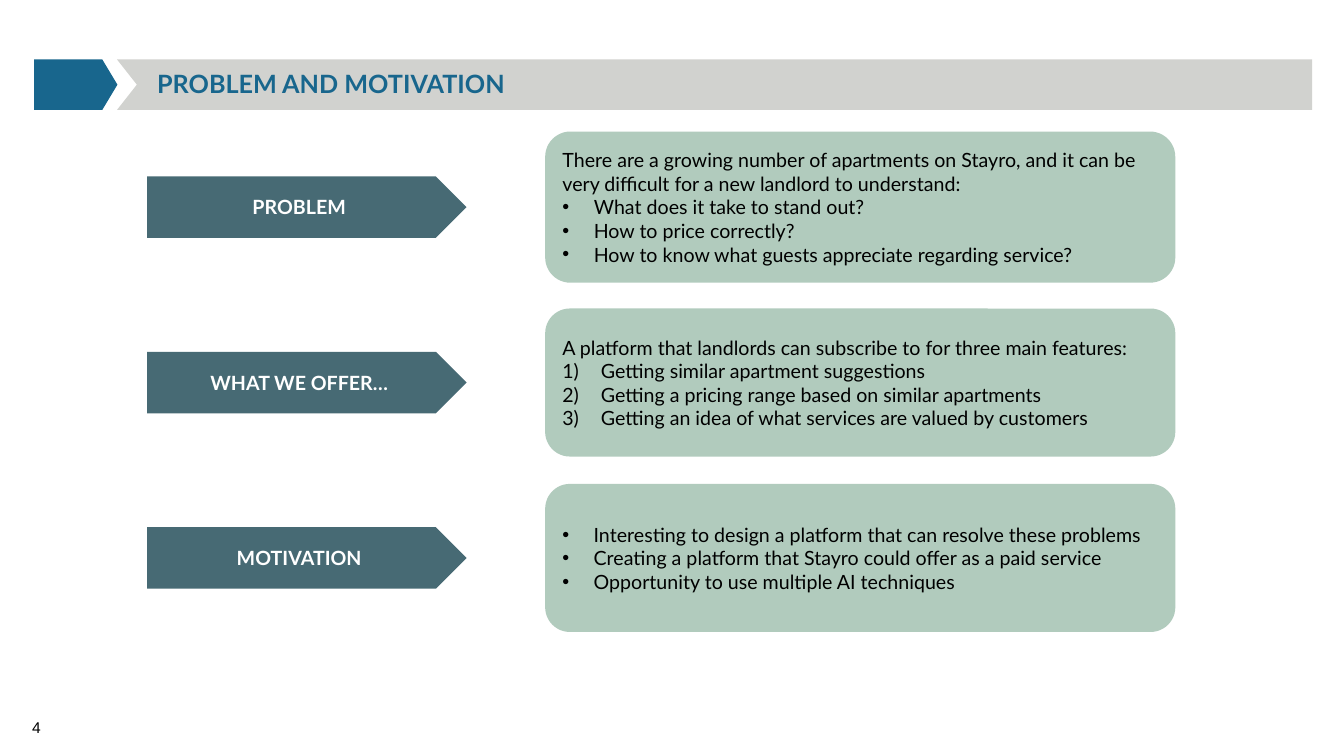
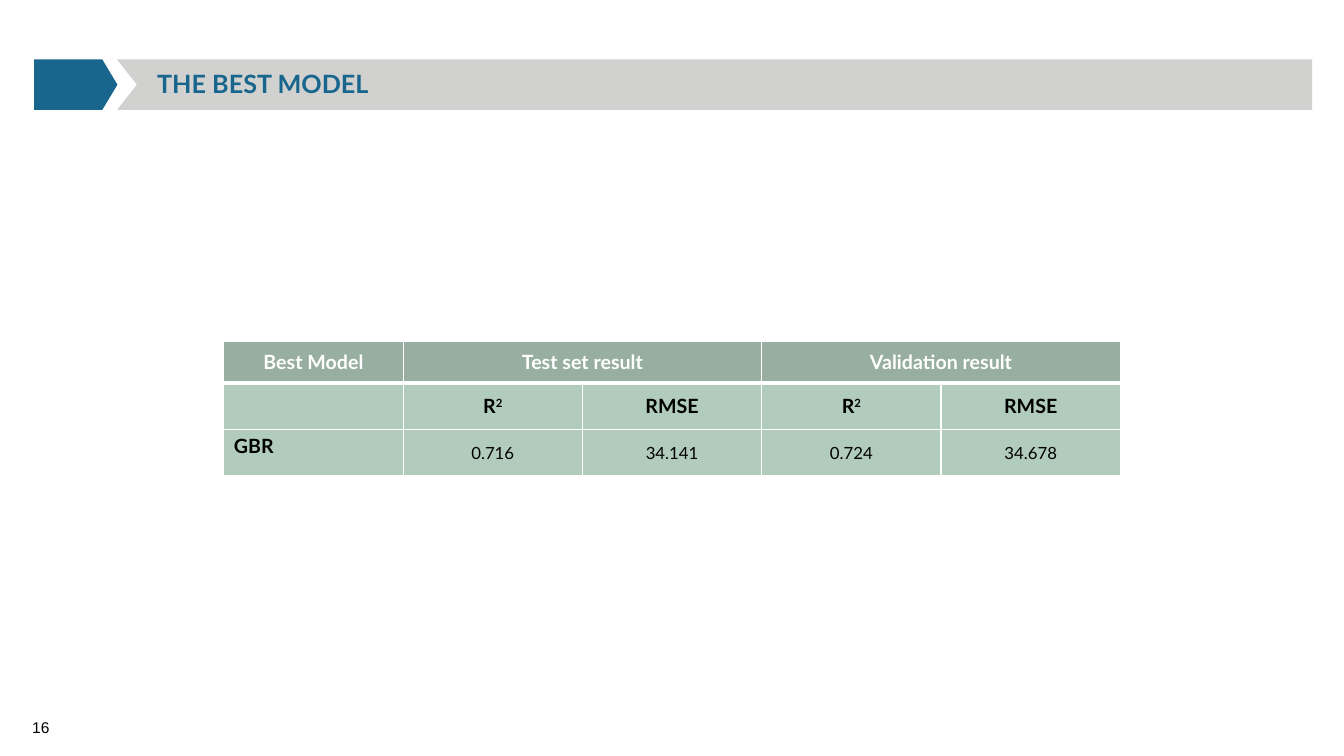
from dataclasses import dataclass

from lxml import etree
from pptx import Presentation
from pptx import util as u
from pptx.dml.color import RGBColor
from pptx.enum import shapes, text
from pptx.oxml import ns


@dataclass(frozen=True)
class Theme:
    blue: str = "18668D"
    band: str = "D1D2CF"
    label: str = "476A74"
    panel: str = "B1CBBD"
    header: str = "97AEA0"
    white: str = "FFFFFF"
    black: str = "000000"
    font: str = "Lato"
    number_font: str = "Arial"
    title_size: float = 18
    body_size: float = 14
    value_size: float = 12
    number_size: float = 11.1


THEME = Theme()
CENTER = text.PP_ALIGN.CENTER
MIDDLE = text.MSO_ANCHOR.MIDDLE

# Header band geometry, in cm
BAND_TOP, BAND_HEIGHT = 1.5, 1.27
BAND_LEFT, BAND_RIGHT, NOTCH = 2.95, 33.07, 0.5

# Bullet kinds: element, attributes, hanging indent in cm
BULLETS = {
    "dot": ("a:buChar", {"char": "•"}, 0.79),
    "number": ("a:buAutoNum", {"type": "arabicParenR"}, 0.97),
}

ROWS = [
    ("PROBLEM", 3.81, [
        ("There are a growing number of apartments on Stayro, and it can be", None),
        ("very difficult for a new landlord to understand:", None),
        ("What does it take to stand out?", "dot"),
        ("How to price correctly?", "dot"),
        ("How to know what guests appreciate regarding service?", "dot"),
    ]),
    ("WHAT WE OFFER…", 3.73, [
        ("A platform that landlords can subscribe to for three main features:", None),
        ("Getting similar apartment suggestions", "number"),
        ("Getting a pricing range based on similar apartments", "number"),
        ("Getting an idea of what services are valued by customers", "number"),
    ]),
    ("MOTIVATION", 3.73, [
        ("Interesting to design a platform that can resolve these problems", "dot"),
        ("Creating a platform that Stayro could offer as a paid service", "dot"),
        ("Opportunity to use multiple AI techniques", "dot"),
    ]),
]

HEADINGS = ["Best Model", "Test set result", "", "Validation result", ""]
MEASURES = ["", "R²", "RMSE", "R²", "RMSE"]
RESULTS = ["GBR", "0.716", "34.141", "0.724", "34.678"]


# Text
def add_run(para, words, size=THEME.body_size, color=THEME.black, bold=False,
            font=THEME.font):
    span = para.add_run()
    span.text = words
    span.font.size = u.Pt(size)
    span.font.name = font
    span.font.bold = bold
    span.font.color.rgb = RGBColor.from_string(color)
    return span


def add_bullet(para, kind):
    tag, attributes, indent = BULLETS[kind]
    properties = para._p.get_or_add_pPr()
    properties.set("marL", str(u.Cm(indent)))
    properties.set("indent", str(-u.Cm(indent)))
    if kind == "dot":
        etree.SubElement(properties, ns.qn("a:buFont")).set("typeface", THEME.number_font)
    etree.SubElement(properties, ns.qn(tag), attributes)


def add_text_box(page, left, top, width, height, anchor, wrap):
    frame = page.shapes.add_textbox(
        u.Cm(left), u.Cm(top), u.Cm(width), u.Cm(height)).text_frame
    frame.word_wrap = wrap
    frame.vertical_anchor = anchor
    return frame


# Shapes
def paint(shape, color):
    shape.shadow.inherit = False
    shape.fill.solid()
    shape.fill.fore_color.rgb = RGBColor.from_string(color)
    shape.line.fill.background()


def add_block(page, kind, left, top, width, height, color):
    block = page.shapes.add_shape(
        kind, u.Cm(left), u.Cm(top), u.Cm(width), u.Cm(height))
    paint(block, color)
    block.text_frame.vertical_anchor = MIDDLE
    block.text_frame.word_wrap = True
    return block


def add_label(page, words, middle):
    height = 1.55
    label = add_block(page, shapes.MSO_SHAPE.PENTAGON, 3.71, middle - height / 2,
                      8.05, height, THEME.label)
    para = label.text_frame.paragraphs[0]
    para.alignment = CENTER
    add_run(para, words, color=THEME.white, bold=True)


def add_panel(page, lines, middle, height):
    panel = add_block(page, shapes.MSO_SHAPE.ROUNDED_RECTANGLE, 13.74,
                      middle - height / 2, 15.88, height, THEME.panel)
    frame = panel.text_frame
    for index, (words, bullet) in enumerate(lines):
        para = frame.add_paragraph() if index else frame.paragraphs[0]
        para.alignment = text.PP_ALIGN.LEFT
        if bullet:
            add_bullet(para, bullet)
        add_run(para, words)


# Page frame: band, arrow, title and page number
def add_page(deck, title, number):
    page = deck.slides.add_slide(deck.slide_layouts[6])
    bottom = BAND_TOP + BAND_HEIGHT
    outline = [(BAND_RIGHT, BAND_TOP), (BAND_RIGHT, bottom), (BAND_LEFT, bottom),
               (BAND_LEFT + NOTCH, BAND_TOP + BAND_HEIGHT / 2)]
    builder = page.shapes.build_freeform(u.Cm(BAND_LEFT), u.Cm(BAND_TOP))
    builder.add_line_segments([(u.Cm(x), u.Cm(y)) for x, y in outline])
    paint(builder.convert_to_shape(), THEME.band)

    arrow = add_block(page, shapes.MSO_SHAPE.PENTAGON, 0.86, BAND_TOP, 2.1,
                      BAND_HEIGHT, THEME.blue)
    arrow.adjustments[0] = 0.3

    frame = add_text_box(page, 3.71, 1.52, 29.39, 1.24, MIDDLE, True)
    para = frame.paragraphs[0]
    para.line_spacing = 0.9
    add_run(para, title, THEME.title_size, THEME.blue, True)

    frame = add_text_box(page, 0.81, 18.08, 0.56, 0.61, text.MSO_ANCHOR.BOTTOM, False)
    frame.margin_left = frame.margin_right = frame.margin_top = 0
    add_run(frame.paragraphs[0], number, THEME.number_size, font=THEME.number_font)
    return page


# Table
def set_borders(cell, top=1, bottom=1):
    properties = cell._tc.get_or_add_tcPr()
    for side, width in (("L", 1), ("R", 1), ("T", top), ("B", bottom)):
        line = etree.SubElement(properties, ns.qn(f"a:ln{side}"), w=str(u.Pt(width)))
        fill = etree.SubElement(line, ns.qn("a:solidFill"))
        etree.SubElement(fill, ns.qn("a:srgbClr"), val=THEME.white)


def fill_cell(cell, words, fill, size, color, bold):
    cell.fill.solid()
    cell.fill.fore_color.rgb = RGBColor.from_string(fill)
    if not words:
        return
    para = cell.text_frame.paragraphs[0]
    if words != "GBR":
        cell.vertical_anchor = MIDDLE
        para.alignment = CENTER
    add_run(para, words.removesuffix("²"), size, color, bold)
    if words.endswith("²"):
        power = add_run(para, "2", size, color, bold)
        power._r.get_or_add_rPr().set("baseline", "30000")


def add_results_table(page):
    heights = [1.04, 1.17, 1.17]
    column_width = 4.52
    rows = [HEADINGS, MEASURES, RESULTS]
    columns = len(HEADINGS)
    table = page.shapes.add_table(
        len(rows), columns, u.Cm(5.64), u.Cm(8.61),
        u.Cm(column_width * columns), u.Cm(sum(heights))).table
    for column in table.columns:
        column.width = u.Cm(column_width)
    for row_index, (row, height) in enumerate(zip(rows, heights)):
        table.rows[row_index].height = u.Cm(height)
        is_header = row_index == 0
        for column_index, words in enumerate(row):
            is_value = row_index == 2 and column_index > 0
            cell = table.cell(row_index, column_index)
            set_borders(cell, top=3 if row_index == 1 else 1,
                        bottom=3 if is_header else 1)
            fill_cell(cell, words,
                      THEME.header if is_header else THEME.panel,
                      THEME.value_size if is_value else THEME.body_size,
                      THEME.white if is_header else THEME.black,
                      not is_value)
    for start in (1, 3):
        table.cell(0, start).merge(table.cell(0, start + 1))


def main():
    deck = Presentation()
    deck.slide_width, deck.slide_height = u.Cm(33.87), u.Cm(19.05)

    # Problem, offer and motivation
    page = add_page(deck, "PROBLEM AND MOTIVATION", "4")
    for index, (label, height, lines) in enumerate(ROWS):
        middle = 5.22 + 4.42 * index
        add_label(page, label, middle)
        add_panel(page, lines, middle, height)

    # Best model results
    page = add_page(deck, "THE BEST MODEL", "16")
    add_results_table(page)

    deck.save("out.pptx")


if __name__ == "__main__":
    main()
